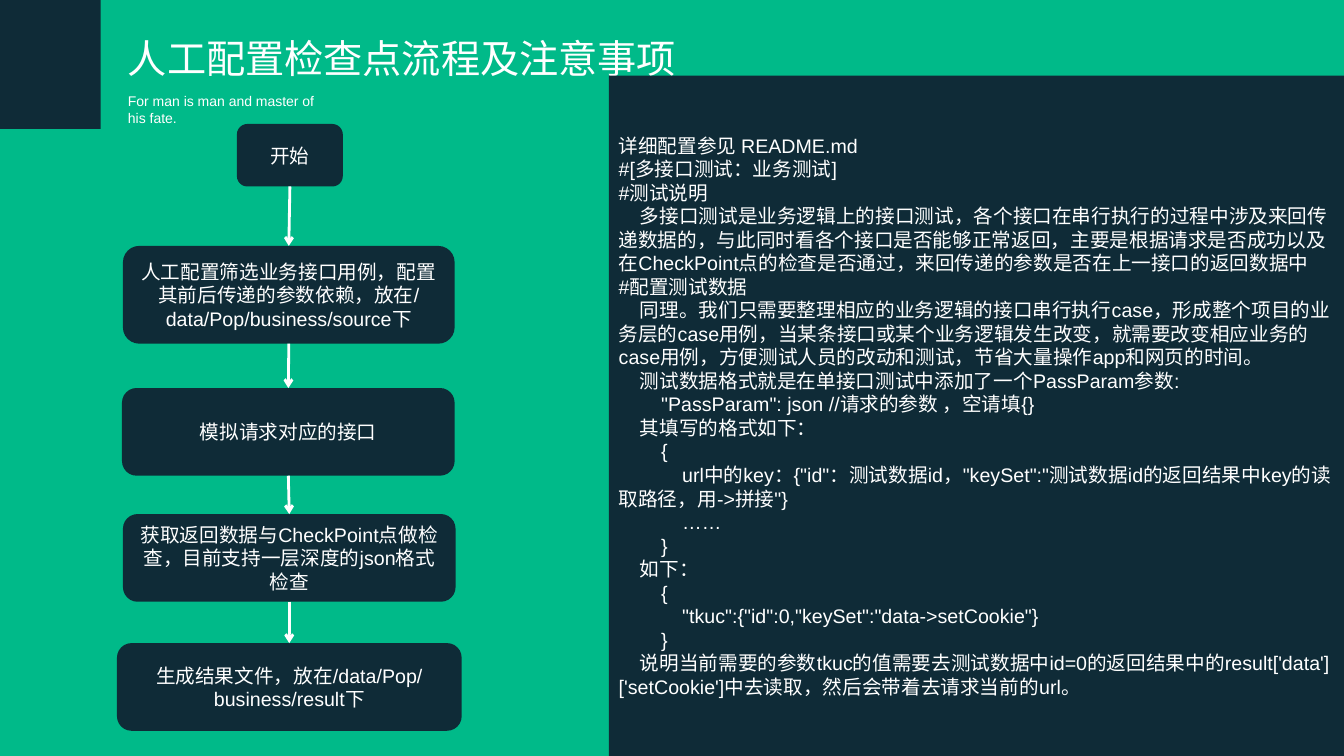
from itertools import pairwise

from lxml.etree import SubElement
from pptx import Presentation
from pptx.dml.color import RGBColor
from pptx.enum.shapes import MSO_CONNECTOR as Connector, MSO_SHAPE as Shape
from pptx.enum.text import MSO_ANCHOR as Anchor, PP_ALIGN as Align
from pptx.oxml.ns import qn
from pptx.util import Inches, Pt

WIDTH, HEIGHT = Inches(13.33), Inches(7.5)
GREEN, NAVY, WHITE = "00BA89", "0F2B37", "FFFFFF"
FONT = "Arial"
BODY_SIZE = 14
INDENT = Inches(0.21)

STEPS = [
    ("开始", (17.63, 16.4, 7.88, 8.27)),
    ("人工配置筛选业务接口用例，配置其前后传递的参数依赖，放在/data/Pop/business/source下",
     (9.15, 32.53, 24.68, 12.93)),
    ("模拟请求对应的接口", (9.08, 51.33, 24.75, 11.6)),
    ("获取返回数据与CheckPoint点做检查，目前支持一层深度的json格式检查",
     (9.15, 68, 24.75, 11.6)),
    ("生成结果文件，放在/data/Pop/business/result下", (8.7, 85.07, 25.65, 11.6)),
]

NOTES = [
    (0, "详细配置参见 README.md"),
    (0, "#[多接口测试：业务测试]"),
    (0, "#测试说明"),
    (1, "多接口测试是业务逻辑上的接口测试，各个接口在串行执行的过程中涉及来回传递数据的，"
        "与此同时看各个接口是否能够正常返回，主要是根据请求是否成功以及在CheckPoint点的检查是否通过，"
        "来回传递的参数是否在上一接口的返回数据中"),
    (0, "#配置测试数据"),
    (1, "同理。我们只需要整理相应的业务逻辑的接口串行执行case，形成整个项目的业务层的case用例，"
        "当某条接口或某个业务逻辑发生改变，就需要改变相应业务的case用例，"
        "方便测试人员的改动和测试，节省大量操作app和网页的时间。"),
    (1, "测试数据格式就是在单接口测试中添加了一个PassParam参数:"),
    (2, '"PassParam": json //请求的参数 ，空请填{}'),
    (1, "其填写的格式如下："),
    (2, "{"),
    (3, 'url中的key：{"id"：测试数据id，"keySet":"测试数据id的返回结果中key的读取路径，用->拼接"}'),
    (3, "……"),
    (2, "}"),
    (1, "如下："),
    (2, "{"),
    (3, '"tkuc":{"id":0,"keySet":"data->setCookie"}'),
    (2, "}"),
    (1, "说明当前需要的参数tkuc的值需要去测试数据中id=0的返回结果中的result['data']['setCookie']中去读取，"
        "然后会带着去请求当前的url。"),
]


def color(code):
    """Turn a hex string into a colour."""
    return RGBColor.from_string(code)


def place(left, top, width, height):
    """Turn percentages of the slide into lengths."""
    return (round(WIDTH * left / 100), round(HEIGHT * top / 100),
            round(WIDTH * width / 100), round(HEIGHT * height / 100))


def write(para, text, size, align=Align.LEFT):
    """Fill a paragraph with white text."""
    para.text = text
    para.alignment = align
    for span in para.runs:
        span.font.name = FONT
        span.font.size = Pt(size)
        span.font.color.rgb = color(WHITE)


def add_label(page, area, text, size):
    """Add a wrapping text box."""
    box = page.shapes.add_textbox(*place(*area))
    box.text_frame.word_wrap = True
    write(box.text_frame.paragraphs[0], text, size)


def add_block(page, kind, area):
    """Add a flat navy shape."""
    box = page.shapes.add_shape(kind, *place(*area))
    box.shadow.inherit = False
    box.fill.solid()
    box.fill.fore_color.rgb = color(NAVY)
    box.line.fill.background()
    box.text_frame.word_wrap = True
    box.text_frame.vertical_anchor = Anchor.MIDDLE
    return box


def add_step(page, text, area):
    """Add one rounded step of the flow."""
    box = add_block(page, Shape.ROUNDED_RECTANGLE, area)
    write(box.text_frame.paragraphs[0], text, BODY_SIZE, Align.CENTER)
    return box


def add_arrow(page, upper, lower):
    """Join the bottom of one step to the top of the next."""
    arrow = page.shapes.add_connector(Connector.STRAIGHT, 0, 0, 0, 0)
    arrow.begin_connect(upper, 2)
    arrow.end_connect(lower, 0)
    arrow.line.width = Pt(2)
    arrow.line.color.rgb = color(WHITE)
    SubElement(arrow.line._get_or_add_ln(), qn("a:tailEnd"), type="arrow")
    SubElement(arrow._element.spPr, qn("a:effectLst"))


def add_notes(page, area, notes):
    """Add the panel of notes with first-line indents."""
    frame = add_block(page, Shape.RECTANGLE, area).text_frame
    for number, (level, text) in enumerate(notes):
        para = frame.add_paragraph() if number else frame.paragraphs[0]
        write(para, text, BODY_SIZE)
        para._p.get_or_add_pPr().set("indent", str(level * INDENT))


def main():
    """Build the slide and save it."""
    deck = Presentation()
    deck.slide_width, deck.slide_height = WIDTH, HEIGHT
    page = deck.slides.add_slide(deck.slide_layouts[6])
    page.background.fill.solid()
    page.background.fill.fore_color.rgb = color(GREEN)

    add_label(page, (8.78, 3.87, 47.63, 7.6), "人工配置检查点流程及注意事项", 28)
    add_block(page, Shape.RECTANGLE, (0, 0, 7.5, 17.07))
    add_label(page, (8.78, 11.6, 15.75, 5.87), "For man is man and master of his fate.", 10)

    steps = [add_step(page, text, area) for text, area in STEPS]
    for upper, lower in pairwise(steps):
        add_arrow(page, upper, lower)
    add_notes(page, (45.3, 10, 54.7, 90), NOTES)
    deck.save("out.pptx")


if __name__ == "__main__":
    main()
